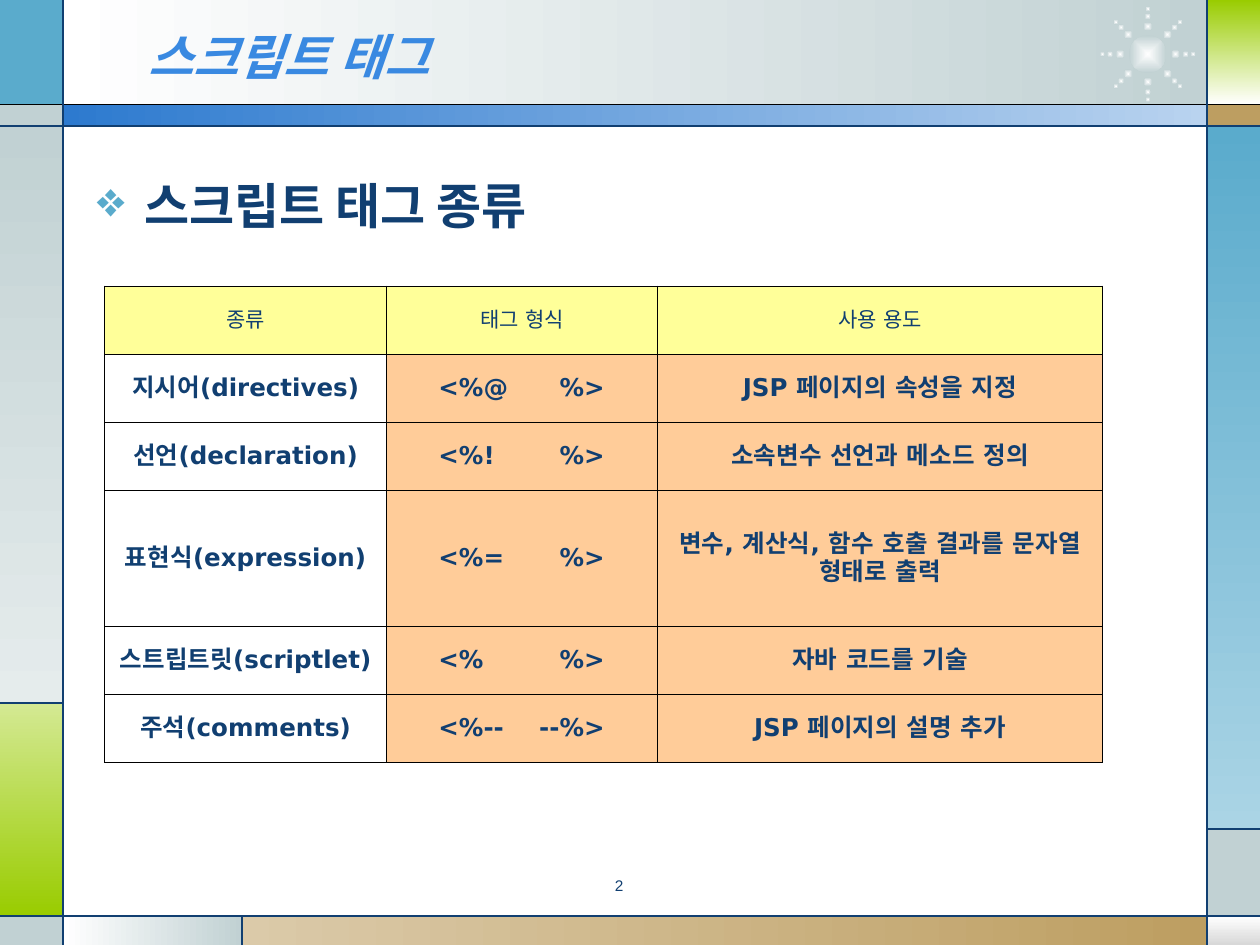
from math import cos, pi, sin

from lxml import etree
from pptx import Presentation
from pptx.dml.color import RGBColor
from pptx.enum.shapes import MSO_CONNECTOR, MSO_SHAPE
from pptx.enum.text import MSO_ANCHOR, PP_ALIGN
from pptx.oxml.ns import qn
from pptx.util import Inches, Pt

RECT, OVAL = MSO_SHAPE.RECTANGLE, MSO_SHAPE.OVAL
STRAIGHT = MSO_CONNECTOR.STRAIGHT
LEFT, CENTER = PP_ALIGN.LEFT, PP_ALIGN.CENTER
TOP, MIDDLE = MSO_ANCHOR.TOP, MSO_ANCHOR.MIDDLE
KOREAN, TABLE_FONT, NUMBER_FONT = "Noto Sans CJK KR", "DejaVu Sans", "Arial"

COLORS = {
    "white": "FFFFFF", "black": "000000", "navy": "113F71", "title": "3989E1",
    "sky": "5AABCC", "pale_sky": "AAD4E5", "gray": "C1D1D3", "pale_gray": "E5ECEC",
    "silver": "D8D8D8", "green": "99CC00", "pale_green": "D4E993",
    "tan": "BD9E61", "pale_tan": "DBCAA9", "blue": "2D7ACF", "pale_blue": "B9D3EF",
    "yellow": "FFFF99", "peach": "FFCC99",
}

# Frame grid: vertical and horizontal edges, in inches
X = [0, 0.5, 1.92, 9.58, 10]
Y = [0, 0.83, 1, 5.58, 6.58, 7.27, 7.5]
ACROSS, DOWN = 0, 270

# Tiles: left, top, right, bottom edge numbers, colours, gradient angle
TILES = [
    (1, 0, 3, 1, "white", "gray", ACROSS),
    (0, 0, 1, 1, "sky", None, None),
    (0, 1, 1, 2, "gray", None, None),
    (0, 2, 1, 3, "gray", "pale_gray", DOWN),
    (0, 3, 1, 5, "pale_green", "green", DOWN),
    (0, 5, 1, 6, "gray", None, None),
    (1, 5, 2, 6, "white", "gray", ACROSS),
    (2, 5, 3, 6, "pale_tan", "tan", ACROSS),
    (3, 5, 4, 6, "white", "silver", DOWN),
    (3, 4, 4, 5, "gray", None, None),
    (3, 2, 4, 4, "sky", "pale_sky", DOWN),
    (3, 1, 4, 2, "tan", None, None),
    (3, 0, 4, 1, "green", "white", DOWN),
    (1, 1, 3, 2, "blue", "pale_blue", ACROSS),
]
# Lines: start and end edge numbers, colour
LINES = [
    (0, 1, 4, 1, "black"), (0, 2, 4, 2, "navy"), (0, 5, 4, 5, "navy"),
    (1, 0, 1, 6, "navy"), (3, 0, 3, 6, "navy"), (1, 3, 0, 3, "navy"),
    (2, 5, 2, 6, "navy"), (3, 4, 4, 4, "navy"),
]

ROWS = [
    ("종류", "태그 형식", "사용 용도"),
    ("지시어(directives)", "<%@\t%>", "JSP 페이지의 속성을 지정"),
    ("선언(declaration)", "<%!\t%>", "소속변수 선언과 메소드 정의"),
    ("표현식(expression)", "<%=\t%>", "변수, 계산식, 함수 호출 결과를 문자열 형태로 출력"),
    ("스트립트릿(scriptlet)", "<%\t%>", "자바 코드를 기술"),
    ("주석(comments)", "<%--\t--%>", "JSP 페이지의 설명 추가"),
]
COL_WIDTHS = [2.24, 2.15, 3.53]
ROW_UNITS = [1, 1, 1, 2, 1, 1]
ROW_HEIGHT = 0.54


def rgb(name):
    return RGBColor.from_string(COLORS[name])


def add_filled(s, kind, x, y, w, h, start, end=None, angle=None):
    """Borderless shape with a plain fill or, given an end colour, a gradient."""
    sp = s.shapes.add_shape(kind, Inches(x), Inches(y), Inches(w), Inches(h))
    sp.shadow.inherit = False
    sp.line.fill.background()
    if end is None:
        sp.fill.solid()
        sp.fill.fore_color.rgb = rgb(start)
        return sp
    sp.fill.gradient()
    for stop, name in zip(sp.fill.gradient_stops, (start, end)):
        stop.color.rgb = rgb(name)
    if angle is not None:
        sp.fill.gradient_angle = angle
    return sp


def add_glow(s, cx, cy, size):
    """Ellipse that fades outwards from its centre."""
    sp = add_filled(s, OVAL, cx - size / 2, cy - size / 2, size, size, "white", "gray")
    grad = sp._element.spPr.find(qn("a:gradFill"))
    lin = grad.find(qn("a:lin"))
    radial = etree.Element(qn("a:path"), {"path": "rect"})
    sides = dict.fromkeys("ltrb", "50000")
    etree.SubElement(radial, qn("a:fillToRect"), sides)
    grad.replace(lin, radial)


def add_star(s, cx, cy):
    add_glow(s, cx, cy, 0.3)
    for ray in range(8):
        angle = ray * pi / 4
        for radius, size in ((0.3, 0.05), (0.36, 0.04), (0.22, 0.07)):
            add_glow(s, cx + radius * cos(angle), cy + radius * sin(angle), size)


def add_line(s, x1, y1, x2, y2, color):
    line = s.shapes.add_connector(STRAIGHT, Inches(x1), Inches(y1), Inches(x2), Inches(y2))
    line.line.color.rgb = rgb(color)
    line.line.width = Pt(0.75)
    etree.SubElement(line._element.spPr, qn("a:effectLst"))


def style(p, size, color, font, bold=False, italic=False, align=LEFT):
    p.alignment = align
    f = p.font
    f.size, f.bold, f.italic, f.name = Pt(size), bold, italic, font
    f.color.rgb = rgb(color)
    etree.SubElement(p._p.pPr.find(qn("a:defRPr")), qn("a:ea"), typeface=font)


def add_text(s, x, y, w, h, text, anchor=TOP, **look):
    tf = s.shapes.add_textbox(Inches(x), Inches(y), Inches(w), Inches(h)).text_frame
    tf.word_wrap = True
    tf.vertical_anchor = anchor
    p = tf.paragraphs[0]
    p.text = text
    style(p, **look)
    return p


def add_before_font(p, tag, **attrs):
    """Paragraph properties must precede the default font."""
    el = etree.Element(qn(tag), attrs)
    p._p.pPr.find(qn("a:defRPr")).addprevious(el)
    return el


def add_bullet(p, char, color, indent):
    p._p.pPr.set("marL", str(Inches(indent)))
    p._p.pPr.set("indent", str(-Inches(indent)))
    bu_color = add_before_font(p, "a:buClr")
    etree.SubElement(bu_color, qn("a:srgbClr"), val=COLORS[color])
    add_before_font(p, "a:buChar", char=char)


def add_borders(cell):
    tc_pr = cell._tc.get_or_add_tcPr()
    for i, side in enumerate(("a:lnL", "a:lnR", "a:lnT", "a:lnB")):
        ln = etree.Element(qn(side), w=str(Pt(0.45)))
        fill = etree.SubElement(ln, qn("a:solidFill"))
        etree.SubElement(fill, qn("a:srgbClr"), val=COLORS["black"])
        tc_pr.insert(i, ln)


def fill_cell(cell, text, header, fill):
    cell.vertical_anchor = MIDDLE
    cell.margin_left = cell.margin_right = Inches(0.07)
    cell.margin_top = cell.margin_bottom = Inches(0.05)
    if fill:
        cell.fill.solid()
        cell.fill.fore_color.rgb = rgb(fill)
    else:
        cell.fill.background()
    p = cell.text_frame.paragraphs[0]
    p.text = text
    paired = "\t" in text
    style(p, 12 if header else 14, "navy", TABLE_FONT, bold=not header,
          align=LEFT if paired else CENTER)
    if paired:  # closing tag is set flush right
        cell.margin_left = Inches(0.41)
        tabs = add_before_font(p, "a:tabLst")
        etree.SubElement(tabs, qn("a:tab"), pos=str(Inches(1.32)), algn="r")
    add_borders(cell)


def add_tag_table(s, x, y):
    heights = [n * ROW_HEIGHT for n in ROW_UNITS]
    table = s.shapes.add_table(len(ROWS), len(COL_WIDTHS), Inches(x), Inches(y),
                               Inches(sum(COL_WIDTHS)), Inches(sum(heights))).table
    for col, width in zip(table.columns, COL_WIDTHS):
        col.width = Inches(width)
    for r, texts in enumerate(ROWS):
        table.rows[r].height = Inches(heights[r])
        for c, text in enumerate(texts):
            fill = "yellow" if r == 0 else "peach" if c else None
            fill_cell(table.cell(r, c), text, r == 0, fill)


def main():
    prs = Presentation()
    prs.slide_width, prs.slide_height = Inches(X[-1]), Inches(Y[-1])
    s = prs.slides.add_slide(prs.slide_layouts[6])

    # Frame
    for x1, y1, x2, y2, *colors in TILES:
        add_filled(s, RECT, X[x1], Y[y1], X[x2] - X[x1], Y[y2] - Y[y1], *colors)
    add_star(s, 9.11, 0.43)
    for x1, y1, x2, y2, color in LINES:
        add_line(s, X[x1], Y[y1], X[x2], Y[y2], color)

    # Title and heading
    add_text(s, 1.08, 0.13, 7.33, 0.62, "스크립트 태그", MIDDLE, size=28,
             color="title", font=KOREAN, bold=True, italic=True)
    p = add_text(s, 0.67, 1.34, 8.77, 0.8, "스크립트 태그 종류", size=28,
                 color="navy", font=KOREAN, bold=True)
    p.space_before = Pt(7)
    add_bullet(p, "❖", "sky", 0.38)

    # Table and page number
    add_tag_table(s, 0.83, 2.27)
    p = add_text(s, 3.75, 6.93, 2.33, 0.27, "2", size=8.8, color="navy",
                 font=NUMBER_FONT, align=CENTER)
    p.line_spacing = 0.8

    prs.save("out.pptx")


if __name__ == "__main__":
    main()
